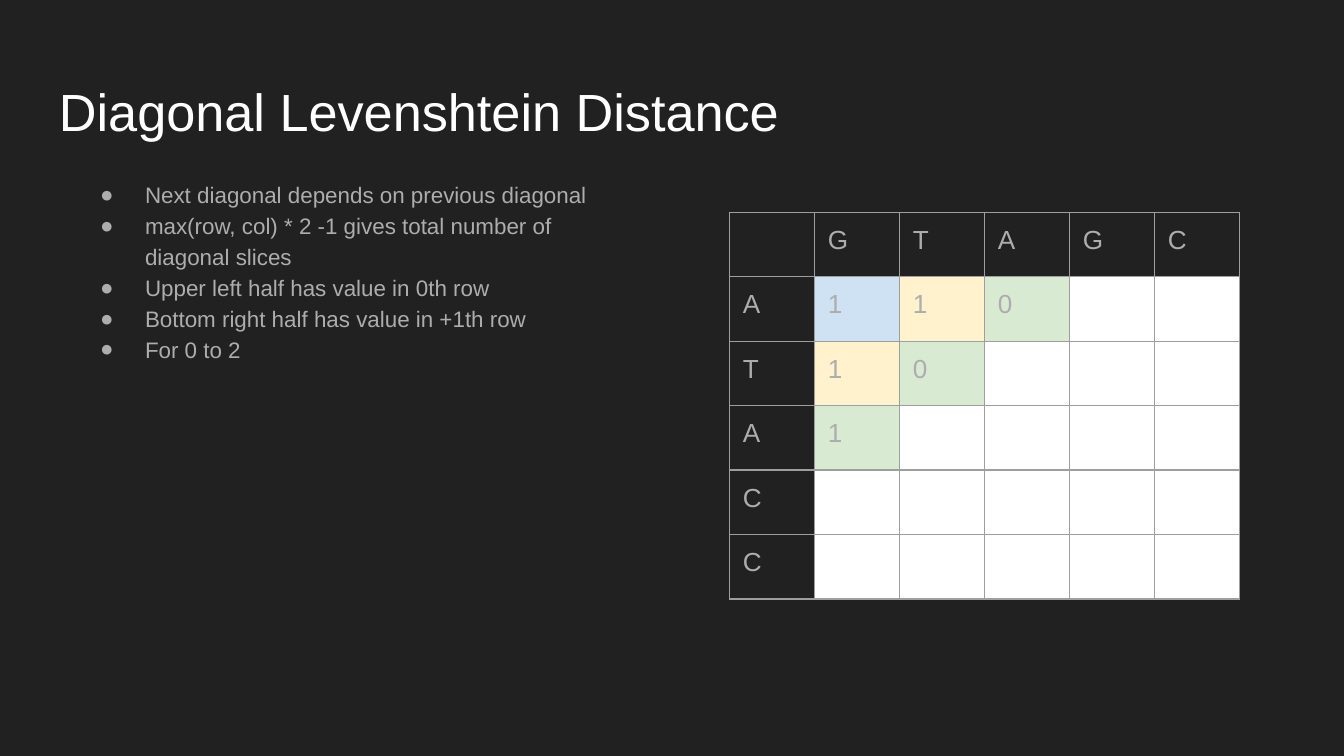
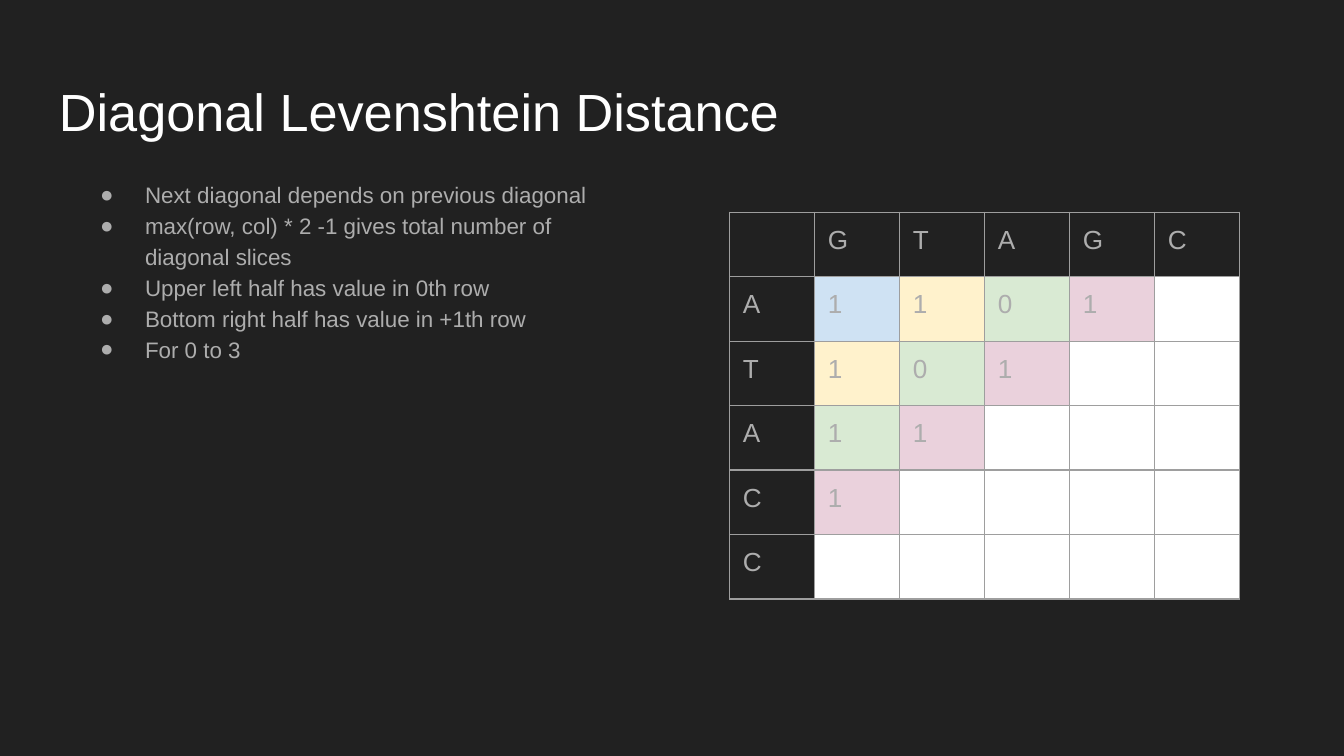
from lxml import etree
from pptx import Presentation
from pptx.dml import color
from pptx.oxml import ns
from pptx.util import Pt

TITLE = "Diagonal Levenshtein Distance"
NOTES = [
    "Next diagonal depends on previous diagonal",
    "max(row, col) * 2 -1 gives total number of diagonal slices",
    "Upper left half has value in 0th row",
    "Bottom right half has value in +1th row",
]
LAST_DIAGONALS = [2, 3]
COLUMN_LETTERS = "GTAGC"
ROW_LETTERS = "ATACC"
DISTANCES = ["1101", "101", "11", "1", ""]
DIAGONAL_FILLS = ["CFE2F3", "FFF2CC", "D9EAD3", "EAD1DC"]

FONT = "Arial"
BACKGROUND, WHITE, GREY, BORDER = "212121", "FFFFFF", "ADADAD", "9E9E9E"
INSET = 7.2
COLUMN_WIDTH, ROW_HEIGHT = 45.55, 34.55


def rgb(value):
    return color.RGBColor.from_string(value)


def style(font, size, value):
    font.name = FONT
    font.size = Pt(size)
    font.color.rgb = rgb(value)


def set_margins(target):
    target.margin_left = target.margin_right = Pt(INSET)
    target.margin_top = target.margin_bottom = Pt(INSET)


def add_text(page, left, top, width, height, lines, size, value, bulleted=False):
    box = page.shapes.add_textbox(Pt(left), Pt(top), Pt(width), Pt(height))
    frame = box.text_frame
    frame.word_wrap = True
    set_margins(frame)
    frame.text = "\n".join(lines)
    for para in frame.paragraphs:
        if bulleted:
            add_bullet(para, value)
        for span in para.runs:
            style(span.font, size, value)


def add_bullet(para, value):
    para.line_spacing = 1.15
    properties = para._p.get_or_add_pPr()
    properties.set("marL", str(Pt(36)))
    properties.set("indent", str(-Pt(24)))
    bullet_color = etree.SubElement(properties, ns.qn("a:buClr"))
    etree.SubElement(bullet_color, ns.qn("a:srgbClr"), val=value)
    etree.SubElement(properties, ns.qn("a:buFont"), typeface=FONT)
    etree.SubElement(properties, ns.qn("a:buChar"), char="●")


def add_borders(cell):
    properties = cell._tc.get_or_add_tcPr()
    for side in ("lnL", "lnR", "lnT", "lnB"):
        line = etree.SubElement(properties, ns.qn(f"a:{side}"), w=str(Pt(0.75)))
        fill = etree.SubElement(line, ns.qn("a:solidFill"))
        etree.SubElement(fill, ns.qn("a:srgbClr"), val=BORDER)


def cell_content(row, column, last_diagonal):
    if row == 0:
        return ("" if column == 0 else COLUMN_LETTERS[column - 1]), None
    if column == 0:
        return ROW_LETTERS[row - 1], None
    diagonal = row + column - 2
    if diagonal > last_diagonal:
        return "", WHITE
    return DISTANCES[row - 1][column - 1], DIAGONAL_FILLS[diagonal]


def add_matrix(page, last_diagonal):
    rows, columns = len(ROW_LETTERS) + 1, len(COLUMN_LETTERS) + 1
    table = page.shapes.add_table(
        rows, columns, Pt(390.8), Pt(113.7),
        Pt(columns * COLUMN_WIDTH), Pt(rows * ROW_HEIGHT),
    ).table
    table.first_row = table.horz_banding = False
    for row in range(rows):
        for column in range(columns):
            cell = table.cell(row, column)
            content, fill = cell_content(row, column, last_diagonal)
            set_margins(cell)
            add_borders(cell)
            if fill:
                cell.fill.solid()
                cell.fill.fore_color.rgb = rgb(fill)
            else:
                cell.fill.background()
            para = cell.text_frame.paragraphs[0]
            para.text = content
            style(para.font, 14, GREY)
            for span in para.runs:
                style(span.font, 14, GREY)


def add_page(deck, last_diagonal):
    page = deck.slides.add_slide(deck.slide_layouts[6])
    page.background.fill.solid()
    page.background.fill.fore_color.rgb = rgb(BACKGROUND)
    add_text(page, 24.5, 35.3, 671, 45.4, [TITLE], 28, WHITE)
    notes = NOTES + [f"For 0 to {last_diagonal}"]
    add_text(page, 34.6, 87.8, 308.2, 287.3, notes, 12, GREY, bulleted=True)
    add_matrix(page, last_diagonal)


def main():
    deck = Presentation()
    deck.slide_width, deck.slide_height = Pt(720), Pt(405)
    for last_diagonal in LAST_DIAGONALS:
        add_page(deck, last_diagonal)
    deck.save("out.pptx")


if __name__ == "__main__":
    main()
